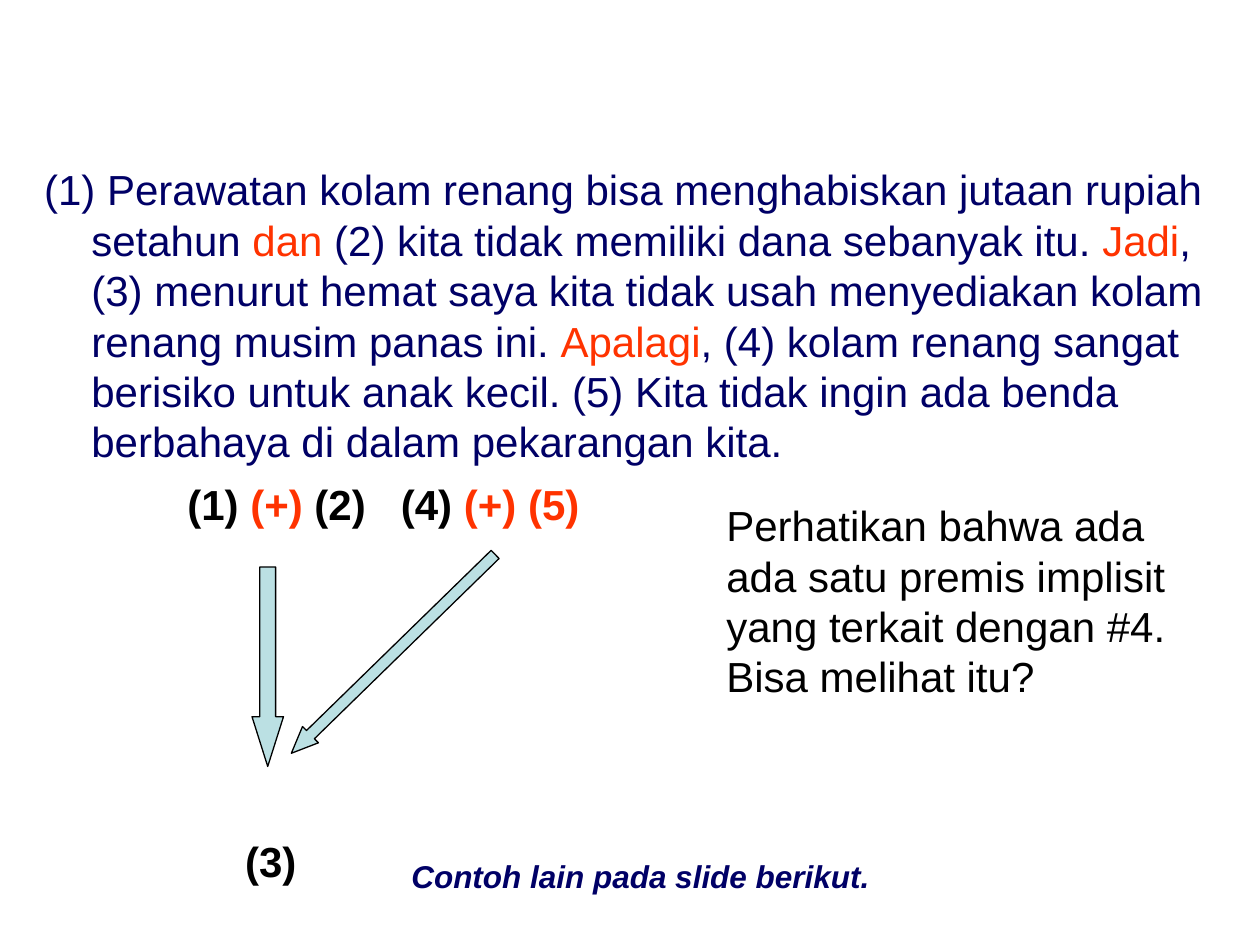
from dataclasses import dataclass

import pptx
import pptx.dml.color
import pptx.enum.shapes
import pptx.enum.text
import pptx.oxml.ns
import pptx.util
from lxml import etree

Pt = pptx.util.Pt
RGB = pptx.dml.color.RGBColor
NAVY = RGB(0x00, 0x00, 0x66)
RED = RGB(0xFF, 0x33, 0x00)
BLACK = RGB(0x00, 0x00, 0x00)
PALE = RGB(0xBB, 0xE0, 0xE3)


@dataclass
class Label:
    left: float
    top: float
    width: float
    height: float
    words: list
    size: float = 24
    bold: bool = False
    italic: bool = False


@dataclass
class Arrow:
    left: float
    top: float
    width: float
    height: float
    head: float
    turn: float = 0


def write(par, words: list, size: float, bold: bool = False,
          italic: bool = False) -> None:
    """Fill a paragraph with (text, colour) pairs."""
    for text, color in words:
        run = par.add_run()
        run.text = text
        font = run.font
        font.name = "Arial"
        font.size = Pt(size)
        font.bold = bold
        font.italic = italic
        font.color.rgb = color


def place(shape, left: float, top: float, width: float, height: float) -> None:
    shape.left, shape.top = Pt(left), Pt(top)
    shape.width, shape.height = Pt(width), Pt(height)


def draw_label(slide, item: Label) -> None:
    box = slide.shapes.add_textbox(Pt(item.left), Pt(item.top),
                                   Pt(item.width), Pt(item.height))
    box.text_frame.word_wrap = True
    write(box.text_frame.paragraphs[0], item.words, item.size,
          item.bold, item.italic)


def draw_arrow(slide, item: Arrow) -> None:
    kind = pptx.enum.shapes.MSO_SHAPE.DOWN_ARROW
    shape = slide.shapes.add_shape(kind, Pt(item.left), Pt(item.top),
                                   Pt(item.width), Pt(item.height))
    shape.adjustments[0] = 0.5
    shape.adjustments[1] = item.head
    shape.rotation = item.turn
    shape.shadow.inherit = False
    shape.fill.solid()
    shape.fill.fore_color.rgb = PALE
    shape.line.color.rgb = BLACK
    shape.line.width = Pt(0.75)


def draw_body(slide, words: list) -> None:
    body = slide.placeholders[1]
    place(body, 18, 90, 678, 396)
    frame = body.text_frame
    frame.word_wrap = True
    frame.auto_size = pptx.enum.text.MSO_AUTO_SIZE.NONE
    par = frame.paragraphs[0]
    # Hanging indent without a bullet
    props = par._p.get_or_add_pPr()
    props.set("marL", str(Pt(27)))
    props.set("indent", str(Pt(-27)))
    etree.SubElement(props, pptx.oxml.ns.qn("a:buNone"))
    par.space_before = Pt(0)
    write(par, words, 24)


PASSAGE = [
    ("(1) Perawatan kolam renang bisa menghabiskan jutaan rupiah setahun ", NAVY),
    ("dan ", RED),
    ("(2) kita tidak memiliki dana sebanyak itu. ", NAVY),
    ("Jadi", RED),
    (", (3) menurut hemat saya kita tidak usah menyediakan kolam renang "
     "musim panas ini. ", NAVY),
    ("Apalagi", RED),
    (", (4) kolam renang sangat berisiko untuk anak kecil. (5) Kita tidak "
     "ingin ada benda berbahaya di dalam pekarangan kita.", NAVY),
]

LABELS = [
    # Premises and conclusion of the diagram
    Label(100, 270, 122, 36,
          [("(1) ", BLACK), ("(+)", RED), (" (2)", BLACK)], bold=True),
    Label(222, 270, 126, 36, [("(4) ", BLACK), ("(+) (5)", RED)], bold=True),
    Label(133, 474, 60, 36, [("(3)", BLACK)], bold=True),
    # Remarks
    Label(408, 282, 282, 122,
          [("Perhatikan bahwa ada ada satu premis implisit yang terkait "
            "dengan #4. Bisa melihat itu?", BLACK)]),
    Label(228, 486, 294, 29, [("Contoh lain pada slide berikut.", NAVY)],
          18, True, True),
]

ARROWS = [
    Arrow(144, 324, 18, 114, 1.58),
    Arrow(218.2, 292.3, 13, 162.7, 1.17, 45.7),
]


def main() -> None:
    deck = pptx.Presentation()
    deck.slide_width, deck.slide_height = Pt(720), Pt(540)
    slide = deck.slides.add_slide(deck.slide_layouts[1])
    # The slide has no title
    title = slide.shapes.title._element
    title.getparent().remove(title)

    draw_body(slide, PASSAGE)
    for item in LABELS:
        draw_label(slide, item)
    for item in ARROWS:
        draw_arrow(slide, item)
    deck.save("out.pptx")


if __name__ == "__main__":
    main()
